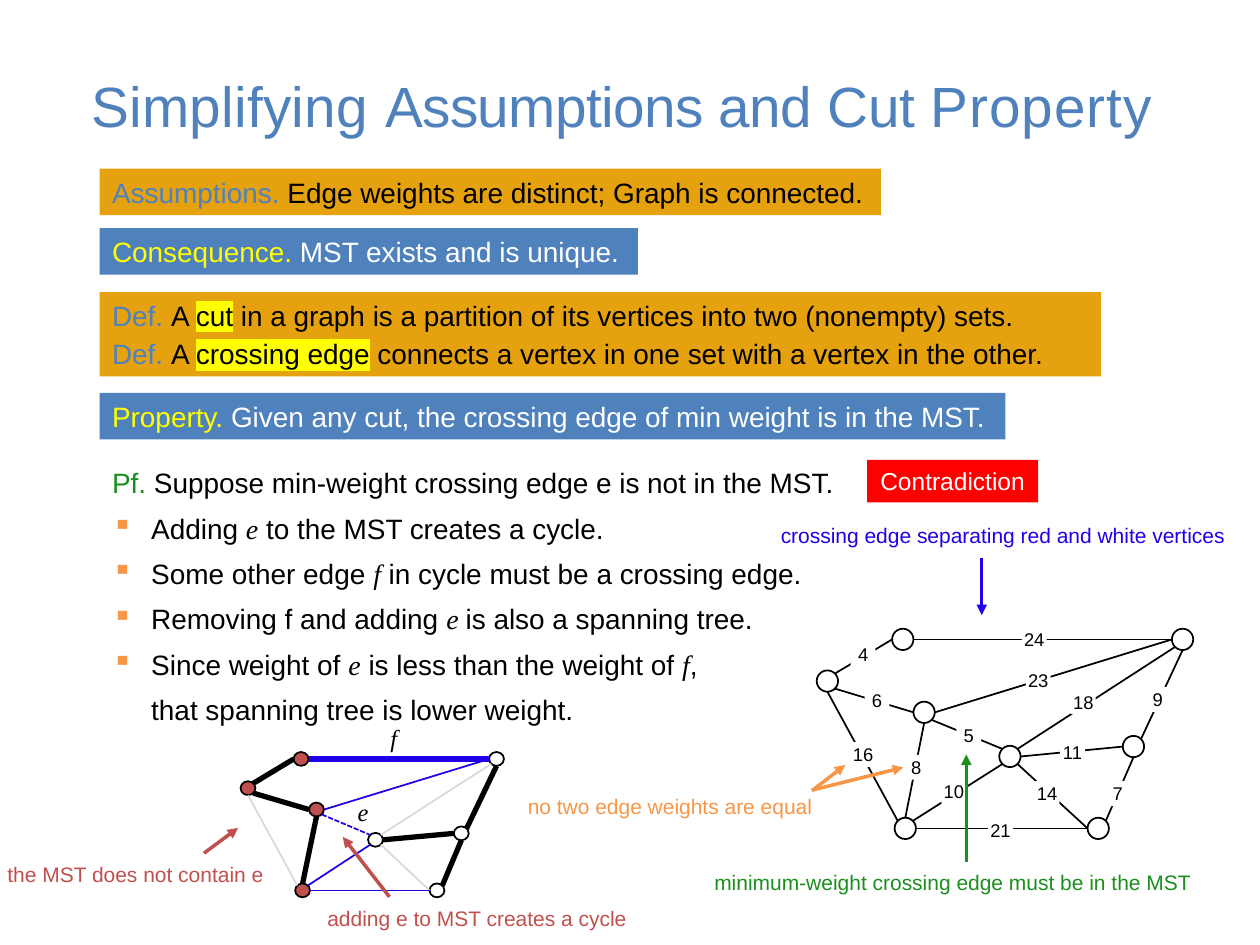
from math import cos, radians, sin

from lxml import etree
from pptx import Presentation
from pptx.dml.color import RGBColor
from pptx.enum.dml import MSO_LINE
from pptx.enum.shapes import MSO_CONNECTOR, MSO_SHAPE
from pptx.enum.text import MSO_ANCHOR, PP_ALIGN
from pptx.oxml.ns import qn
from pptx.util import Cm, Pt

RECT, OVAL = MSO_SHAPE.RECTANGLE, MSO_SHAPE.OVAL
STRAIGHT = MSO_CONNECTOR.STRAIGHT
DASH = MSO_LINE.SQUARE_DOT
MIDDLE = MSO_ANCHOR.MIDDLE
LEFT, CENTER = PP_ALIGN.LEFT, PP_ALIGN.CENTER
BLACK, WHITE, YELLOW, GREY = "000000", "FFFFFF", "FFFF00", "D9D9D9"
BLUE, GOLD, ORANGE, RED = "4F81BD", "E6A20E", "F79646", "C0504D"
VIOLET, GREEN = "2000EA", "1B8E1D"
SANS, SERIF = "Arial", "Times New Roman"
ANGLES = {"E": 0, "SE": 45, "S": 90, "SW": 135, "W": 180, "NW": 225, "N": 270, "NE": 315}

EDGES = ["a E b W", "a W f NE", "f SE e W", "e E b W", "d E c W", "b S c NE", "c S h NE",
         "d SE h W", "g E h W", "f S g NW", "e S g N", "e SE d NW", "d SW g NE", "b SW d NE"]

WEIGHTED_NODES = {"a": (18.2, 12.89), "b": (23.84, 12.89), "c": (22.85, 15.05), "d": (20.36, 15.25),
                  "e": (18.63, 14.36), "f": (16.68, 13.73), "g": (18.25, 16.7), "h": (22.14, 16.7)}
CUT_NODES = {"a": (6.07, 15.3), "b": (10.01, 15.3), "c": (9.3, 16.8), "d": (7.57, 16.93),
             "e": (6.38, 16.32), "f": (5, 15.89), "g": (6.1, 17.95), "h": (8.81, 17.95)}
TREE, THIN, FAINT = (BLACK, 3), (VIOLET, 1), (GREY, 1)
CUT_STYLES = [(VIOLET, 3), TREE, TREE, THIN, TREE, TREE, TREE,
              FAINT, THIN, FAINT, TREE, (VIOLET, 1, DASH), THIN, FAINT]

WEIGHTS = [("24", 20.85, 12.88), ("4", 17.4, 13.18), ("6", 17.68, 14.12), ("23", 20.93, 13.72),
           ("11", 21.62, 15.16), ("9", 23.34, 14.1), ("7", 22.53, 16), ("14", 21.11, 16),
           ("21", 20.17, 16.74), ("16", 17.4, 15.21), ("8", 18.47, 15.47), ("5", 19.53, 14.83),
           ("10", 19.23, 15.95), ("18", 21.84, 14.15)]

BANNERS = [
    (3.4, 15.75, 0.94, GOLD, [[("Assumptions. ", BLUE),
                               ("Edge weights are distinct; Graph is connected.", BLACK)]]),
    (4.6, 10.85, 0.94, BLUE, [[("Consequence. ", YELLOW), ("MST exists and is unique.", WHITE)]]),
    (5.89, 20.19, 1.7, GOLD, [
        [("Def. ", BLUE), ("A ", BLACK), ("cut", BLACK, "mark"),
         (" in a graph is a partition of its vertices into two (nonempty) sets.", BLACK)],
        [("Def. ", BLUE), ("A ", BLACK), ("crossing edge", BLACK, "mark"),
         (" connects a vertex in one set with a vertex in the other.", BLACK)]]),
    (7.92, 18.26, 0.94, BLUE, [[("Property. ", YELLOW),
                                ("Given any cut, the crossing edge of min weight is in the MST.", WHITE)]]),
]
PROOF = [
    [("Pf. ", GREEN), ("Suppose min-weight crossing edge e is not in the MST.", BLACK)],
    [("Adding ", BLACK), ("e", BLACK, "math"), (" to the MST creates a cycle.", BLACK)],
    [("Some other edge ", BLACK), ("f", BLACK, "math"), (" in cycle must be a crossing edge.", BLACK)],
    [("Removing f and adding ", BLACK), ("e ", BLACK, "math"), ("is also a spanning tree.", BLACK)],
    [("Since weight of ", BLACK), ("e", BLACK, "math"), (" is less than the weight of ", BLACK),
     ("f", BLACK, "math"), (",", BLACK)],
    [("that spanning tree is lower weight.", BLACK)],
]
TITLE = [("Simplifying ", 20), ("Assumptions and ", -30), ("Cut ", -20), ("Property ", 60)]
NOTES = [
    (10.39, 15.88, 6.43, "no two edge weights are equal", ORANGE),
    (15.49, 10.41, 9.8, "crossing edge separating red and white vertices", VIOLET),
    (14.15, 17.4, 10.64, "minimum-weight crossing edge must be in the MST", GREEN),
    (-0.1, 17.25, 5.72, "the MST does not contain e", RED),
    (6.35, 18.14, 6.6, "adding e to MST creates a cycle", RED),
]
ARROWS = [
    ((16.38, 15.93), (17.04, 15.42), ORANGE), ((16.36, 15.93), (18.21, 15.47), ORANGE),
    ((19.79, 11.25), (19.79, 12.4), VIOLET), ((19.48, 17.37), (19.48, 15.21), GREEN),
    ((4.11, 17.2), (4.8, 16.69), RED), ((7.85, 18.08), (6.91, 16.87), RED),
]


def rgb(color):
    """Turn a hex string into a colour."""
    return RGBColor.from_string(color)


def add_run(p, text, color, style=None):
    """Add a run, optionally highlighted or set as a math symbol."""
    r = p.add_run()
    r.text = text
    r.font.color.rgb = rgb(color)
    if style == "mark":
        mark = etree.SubElement(r.font._element, qn("a:highlight"))
        etree.SubElement(mark, qn("a:srgbClr"), val=YELLOW)
    elif style == "math":
        r.font.name, r.font.italic = SERIF, True
    return r


def fill_text(tf, paragraphs, size, align=LEFT, gap=0):
    """Write paragraphs of runs with a common size, alignment and gap."""
    for i, runs in enumerate(paragraphs):
        p = tf.add_paragraph() if i else tf.paragraphs[0]
        p.alignment = align
        if gap:
            p.space_after = Pt(gap)
            p.space_before = Pt(gap if i else 0)
        for run in runs:
            add_run(p, *run)
        p.font.size, p.font.name = Pt(size), SANS


def add_text(s, x, y, w, h, paragraphs, size, wrap=True, gap=0):
    """Add a text box and return its frame."""
    tf = s.shapes.add_textbox(Cm(x), Cm(y), Cm(w), Cm(h)).text_frame
    tf.word_wrap = wrap
    fill_text(tf, paragraphs, size, gap=gap)
    return tf


def add_box(s, kind, x, y, w, h, fill, line=None):
    """Add a flat filled shape."""
    sp = s.shapes.add_shape(kind, Cm(x), Cm(y), Cm(w), Cm(h))
    sp.shadow.inherit = False
    sp.fill.solid()
    sp.fill.fore_color.rgb = rgb(fill)
    if line:
        sp.line.color.rgb = rgb(line)
        sp.line.width = Pt(1)
    else:
        sp.line.fill.background()
    return sp


def add_line(s, start, end, color, width, dash=None, arrow=False):
    """Add a straight connector, optionally dashed or with an arrowhead."""
    c = s.shapes.add_connector(STRAIGHT, *(Cm(v) for v in (*start, *end)))
    c.line.color.rgb = rgb(color)
    c.line.width = Pt(width)
    if dash:
        c.line.dash_style = dash
    if arrow:
        etree.SubElement(c.line._get_or_add_ln(), qn("a:tailEnd"), type="triangle")
    etree.SubElement(c._element.spPr, qn("a:effectLst"))


def add_graph(s, nodes, w, h, red, styles):
    """Draw the vertices and join them by the shared edge list."""
    def rim(name, side):
        x, y = nodes[name]
        angle = radians(ANGLES[side])
        return x + w / 2 * cos(angle), y + h / 2 * sin(angle)

    for name, (x, y) in nodes.items():
        add_box(s, OVAL, x - w / 2, y - h / 2, w, h, RED if name in red else WHITE, BLACK)
    for edge, style in zip(EDGES, styles):
        n1, side1, n2, side2 = edge.split()
        add_line(s, rim(n1, side1), rim(n2, side2), *style)


def add_weight(s, text, x, y, size=0.5):
    """Add an edge weight centred on a point."""
    sp = add_box(s, RECT, x - size / 2, y - size / 2, size, size, WHITE)
    tf = sp.text_frame
    tf.margin_left = tf.margin_right = tf.margin_top = tf.margin_bottom = 0
    fill_text(tf, [[(text, BLACK)]], 10.5, CENTER)


def add_title(s):
    """Add the title with its letter spacing."""
    tf = add_text(s, 1.27, 0.53, 22.86, 3.18, [[]], 32.4)
    tf.vertical_anchor = MIDDLE
    p = tf.paragraphs[0]
    p.alignment = CENTER
    for text, spacing in TITLE:
        add_run(p, text, BLUE).font._element.set("spc", str(spacing))


def add_proof(s):
    """Add the proof with its bulleted steps."""
    tf = add_text(s, 2.01, 9.27, 15.37, 5.44, PROOF, 16, gap=3.35)
    for p in tf.paragraphs[1:]:
        pPr = p._p.get_or_add_pPr()
        pPr.set("marL", str(Cm(0.79)))
        if p is tf.paragraphs[-1] or p.text == PROOF[-1][0][0]:
            continue
        pPr.set("indent", str(Cm(-0.79)))
        color = etree.Element(qn("a:buClr"))
        etree.SubElement(color, qn("a:srgbClr"), val=ORANGE)
        bullet = etree.Element(qn("a:buChar"), char="▪")
        for element in (color, bullet):
            pPr.find(qn("a:defRPr")).addprevious(element)


def main():
    """Build the slide."""
    prs = Presentation()
    prs.slide_width, prs.slide_height = Cm(25.4), Cm(19.05)
    s = prs.slides.add_slide(prs.slide_layouts[6])
    add_title(s)
    for y, w, h, fill, paragraphs in BANNERS:
        fill_text(add_box(s, RECT, 2.01, y, w, h, fill).text_frame, paragraphs, 16, gap=1.3)
    add_proof(s)
    add_graph(s, WEIGHTED_NODES, 0.43, 0.43, "", [(BLACK, 1)] * len(EDGES))
    for weight in WEIGHTS:
        add_weight(s, *weight)
    sp = add_box(s, RECT, 17.48, 9.27, 3.45, 0.86, "FF0000")
    fill_text(sp.text_frame, [[("Contradiction", WHITE)]], 14, CENTER)
    add_graph(s, CUT_NODES, 0.3, 0.28, "aefg", CUT_STYLES)
    for x, y, name in [(6.96, 15.95, "e"), (7.62, 14.45, "f")]:
        add_text(s, x, y, 0.7, 0.86, [[(name, BLACK, "math")]], 14, wrap=False)
    for x, y, w, text, color in NOTES:
        add_text(s, x, y, w, 0.76, [[(text, color)]], 12)
    for start, end, color in ARROWS:
        add_line(s, start, end, color, 2, arrow=True)
    prs.save("out.pptx")


if __name__ == "__main__":
    main()
